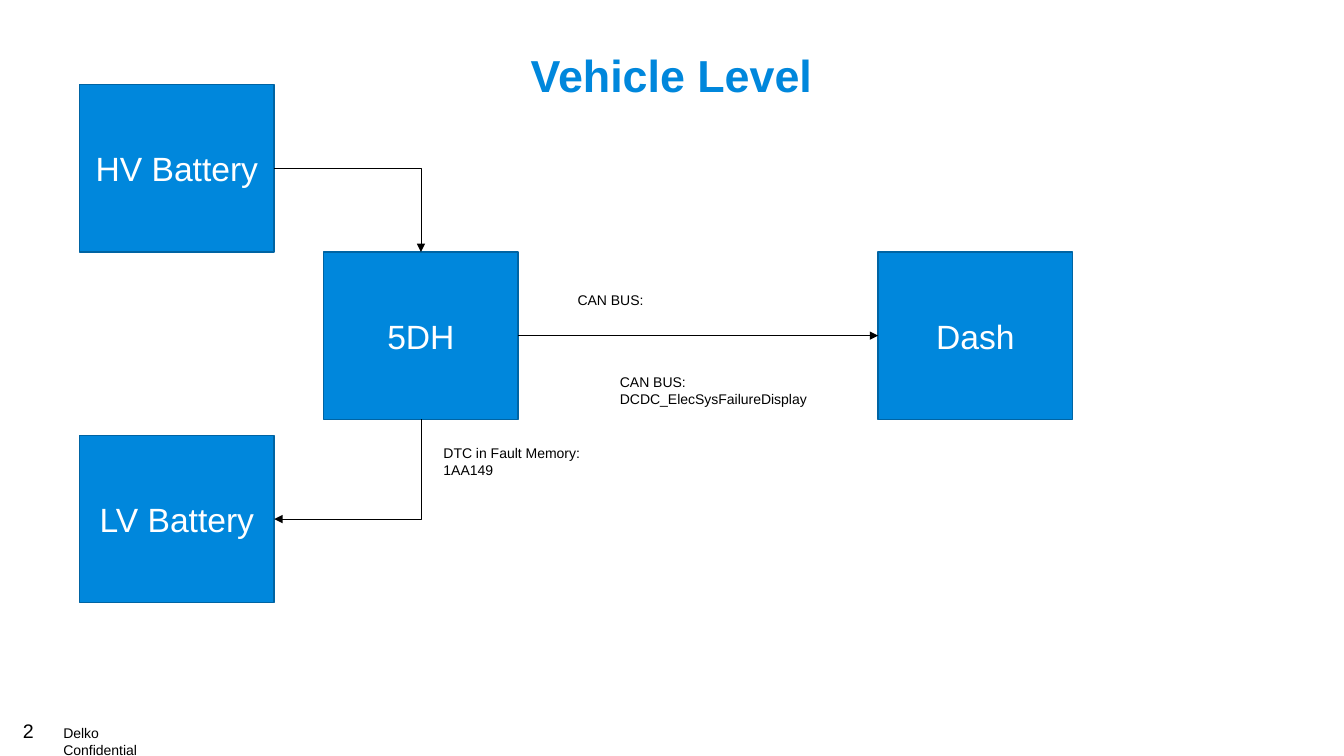
from dataclasses import dataclass

from pptx import Presentation
from pptx.dml.color import RGBColor
from pptx.enum.shapes import MSO_CONNECTOR, MSO_SHAPE
from pptx.enum.text import MSO_ANCHOR, MSO_AUTO_SIZE, PP_ALIGN
from pptx.oxml.ns import qn
from pptx.shapes.autoshape import Shape
from pptx.shapes.connector import Connector
from pptx.slide import Slide
from pptx.text.text import TextFrame
from pptx.util import Emu, Pt
from lxml import etree

RECTANGLE = MSO_SHAPE.RECTANGLE
STRAIGHT, ELBOW = MSO_CONNECTOR.STRAIGHT, MSO_CONNECTOR.ELBOW
CENTER, LEFT = PP_ALIGN.CENTER, PP_ALIGN.LEFT
TOP, MIDDLE = MSO_ANCHOR.TOP, MSO_ANCHOR.MIDDLE
NO_FIT, GROW = MSO_AUTO_SIZE.NONE, MSO_AUTO_SIZE.SHAPE_TO_FIT_TEXT

EMU_PER_PX = 9144
UNIT_WIDTH, UNIT_HEIGHT = 193, 166
RIGHT_SIDE, LEFT_SIDE = 3, 1
BLUE, DARK_BLUE, BLACK, WHITE = "0087DC", "0064A3", "000000", "FFFFFF"


@dataclass(frozen=True)
class Unit:
    name: str
    left: int
    top: int

    @property
    def middle_x(self) -> float:
        return self.left + UNIT_WIDTH / 2

    @property
    def middle_y(self) -> float:
        return self.top + UNIT_HEIGHT / 2

    @property
    def right(self) -> int:
        return self.left + UNIT_WIDTH

    @property
    def bottom(self) -> int:
        return self.top + UNIT_HEIGHT


@dataclass(frozen=True)
class Label:
    lines: tuple[str, ...]
    left: int
    top: int
    width: int
    height: int
    size: int = 10
    wrap: bool = True


CONVERTER = Unit("5DH", 321, 250)
DASH = Unit("Dash", 871, 250)
HV_BATTERY = Unit("HV Battery", 79, 84)
LV_BATTERY = Unit("LV Battery", 79, 432)

LABELS = (
    Label(("2",), 13, 708, 44, 34, size=14, wrap=False),
    Label(("Delko Confidential",), 53, 714, 130, 27, wrap=False),
    Label(("CAN BUS:",), 563, 284, 282, 27),
    Label(("DTC in Fault Memory:", "1AA149"), 430, 436, 188, 44),
    Label(("CAN BUS:", "DCDC_ElecSysFailureDisplay"), 605, 366, 282, 44),
)


def px(length: float) -> Emu:
    return Emu(round(length * EMU_PER_PX))


def color(code: str) -> RGBColor:
    return RGBColor.from_string(code)


def write(frame: TextFrame, lines: tuple[str, ...], size: int, ink: str,
          align: PP_ALIGN, bold: bool = False) -> None:
    frame.text = "\n".join(lines)
    for paragraph in frame.paragraphs:
        paragraph.alignment = align
        paragraph.font.name = "Arial"
        paragraph.font.size = Pt(size)
        paragraph.font.bold = bold
        paragraph.font.color.rgb = color(ink)


def draw_title(slide: Slide, text: str) -> None:
    title = slide.shapes.title
    title.left, title.top, title.width, title.height = px(44), px(48), px(1244), px(74)
    frame = title.text_frame
    frame.auto_size = NO_FIT
    frame.vertical_anchor = TOP
    frame.margin_left = frame.margin_right = 0
    write(frame, (text,), 32, BLUE, CENTER, bold=True)
    frame.paragraphs[0].line_spacing = 0.9


def draw_unit(slide: Slide, unit: Unit) -> Shape:
    block = slide.shapes.add_shape(
        RECTANGLE, px(unit.left), px(unit.top), px(UNIT_WIDTH), px(UNIT_HEIGHT))
    block.shadow.inherit = False
    block.fill.solid()
    block.fill.fore_color.rgb = color(BLUE)
    block.line.color.rgb = color(DARK_BLUE)
    block.line.width = Pt(1)
    block.text_frame.word_wrap = True
    block.text_frame.vertical_anchor = MIDDLE
    write(block.text_frame, (unit.name,), 24, WHITE, CENTER)
    return block


def draw_label(slide: Slide, label: Label) -> None:
    caption = slide.shapes.add_textbox(
        px(label.left), px(label.top), px(label.width), px(label.height))
    caption.text_frame.word_wrap = label.wrap
    caption.text_frame.auto_size = GROW
    write(caption.text_frame, label.lines, label.size, BLACK, LEFT)


def style_arrow(arrow: Connector) -> None:
    arrow.line.color.rgb = color(BLACK)
    arrow.line.width = Pt(0.5)
    etree.SubElement(arrow.line._get_or_add_ln(), qn("a:tailEnd"), type="triangle")
    etree.SubElement(arrow._element.spPr, qn("a:effectLst"))


def draw_bent_arrow(slide: Slide, left: float, top: float, width: float,
                    height: float, quarter_turn: bool = False) -> None:
    if quarter_turn:
        left, top = left + (width - height) / 2, top + (height - width) / 2
        width, height = height, width
    arrow = slide.shapes.add_connector(
        ELBOW, px(left), px(top), px(left + width), px(top + height))
    properties = arrow._element.spPr
    properties.find(qn("a:prstGeom")).set("prst", "bentConnector2")
    if quarter_turn:
        properties.find(qn("a:xfrm")).set("rot", "5400000")
    style_arrow(arrow)


def main() -> None:
    deck = Presentation()
    deck.slide_width, deck.slide_height = px(1333), px(750)
    slide = deck.slides.add_slide(deck.slide_layouts[5])
    draw_title(slide, "Vehicle Level")

    converter = draw_unit(slide, CONVERTER)
    dash = draw_unit(slide, DASH)
    draw_unit(slide, HV_BATTERY)
    draw_unit(slide, LV_BATTERY)

    can_bus = slide.shapes.add_connector(
        STRAIGHT, px(CONVERTER.right), px(CONVERTER.middle_y),
        px(DASH.left), px(DASH.middle_y))
    can_bus.begin_connect(converter, RIGHT_SIDE)
    can_bus.end_connect(dash, LEFT_SIDE)
    style_arrow(can_bus)

    draw_bent_arrow(slide, HV_BATTERY.right, HV_BATTERY.middle_y,
                    CONVERTER.middle_x - HV_BATTERY.right,
                    CONVERTER.top - HV_BATTERY.middle_y)
    draw_bent_arrow(slide, LV_BATTERY.right, CONVERTER.bottom,
                    CONVERTER.middle_x - LV_BATTERY.right,
                    LV_BATTERY.middle_y - CONVERTER.bottom, quarter_turn=True)

    for label in LABELS:
        draw_label(slide, label)
    deck.save("out.pptx")


if __name__ == "__main__":
    main()
